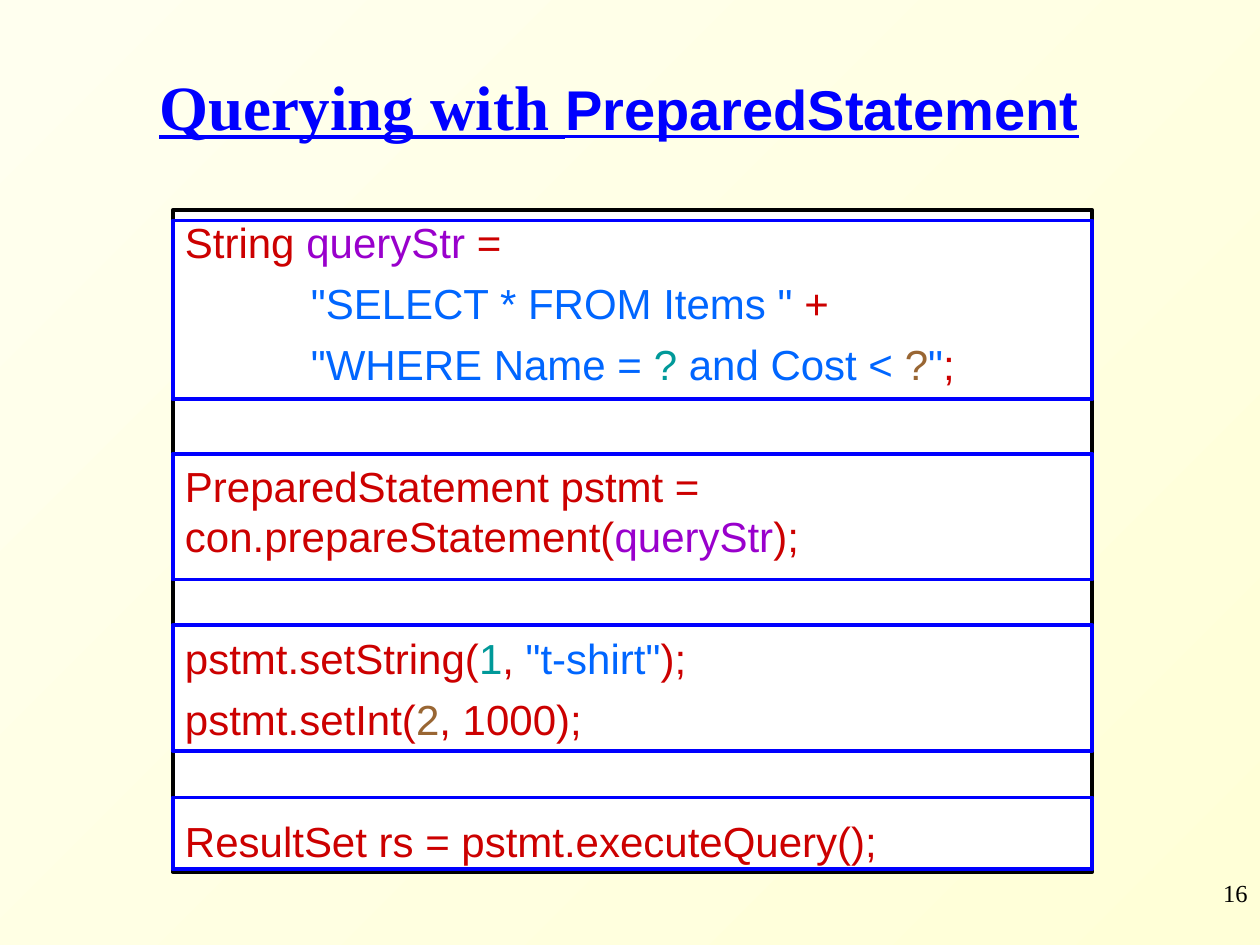
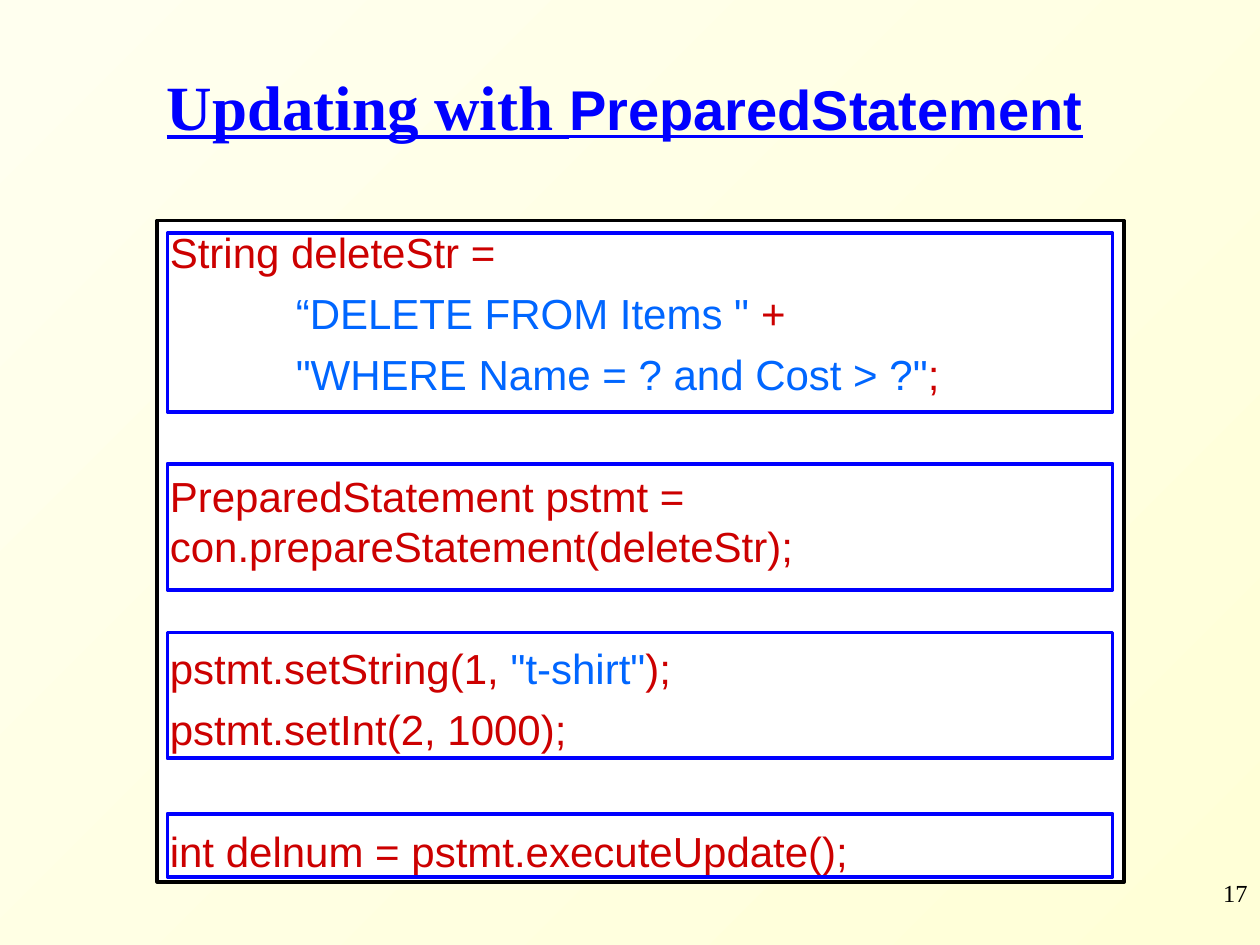
"""Build two slides that show code for prepared statements."""
import pptx
import pptx.dml.color
import pptx.enum.shapes
import pptx.enum.text
import pptx.util
from lxml import etree
from pptx.oxml.ns import qn

Inches = pptx.util.Inches
Pt = pptx.util.Pt
ALIGN = pptx.enum.text.PP_ALIGN
ANCHOR = pptx.enum.text.MSO_ANCHOR
HUES = {
    "deep": "FFFFD7", "pale": "FFFFEF", "white": "FFFFFF", "black": "000000",
    "title": "0000FF", "code": "CC0000", "text": "0066FF", "name": "9900CC",
    "first": "009999", "second": "996633",
}
SANS, SERIF = "Arial", "Times New Roman"
LINE, GAP = 28.8, 6

QUERY = [
    [
        [("String ", "code"), ("queryStr ", "name"), ("=", "code")],
        [("\t\"SELECT * FROM Items \" ", "text"), ("+", "code")],
        [("\t\"WHERE Name = ", "text"), ("? ", "first"),
         ("and Cost < ", "text"), ("?", "second"), ("\"", "text"),
         (";", "code")],
    ],
    [
        [("PreparedStatement pstmt = \tcon.prepareStatement(", "code"),
         ("queryStr", "name"), (");", "code")],
    ],
    [
        [("pstmt.setString(", "code"), ("1", "first"), (", ", "code"),
         ("\"t-shirt\"", "text"), (");", "code")],
        [("pstmt.setInt(", "code"), ("2", "second"), (", 1000);", "code")],
    ],
    [[("ResultSet rs = pstmt.executeQuery();", "code")]],
]
UPDATE = [
    [
        [("String deleteStr =", "code")],
        [("\t“DELETE FROM Items \" ", "text"), ("+", "code")],
        [("\t\"WHERE Name = ? and Cost > ?\"", "text"), (";", "code")],
    ],
    [
        [("PreparedStatement pstmt = \tcon.prepareStatement(deleteStr);",
          "code")],
    ],
    [
        [("pstmt.setString(1, ", "code"), ("\"t-shirt\"", "text"),
         (");", "code")],
        [("pstmt.setInt(2, 1000);", "code")],
    ],
    [[("int delnum = pstmt.executeUpdate();", "code")]],
]


def shade(hue):
    """Return the RGB colour of a named hue."""
    return pptx.dml.color.RGBColor.from_string(HUES[hue])


def add_run(para, text, hue, size, face):
    """Append a formatted run and return its font."""
    run = para.add_run()
    run.text = text
    font = run.font
    font.size, font.name = Pt(size), face
    font.color.rgb = shade(hue)
    return font


def add_tabs(para):
    """Give a paragraph a left tab stop at every inch."""
    stops = etree.SubElement(para._p.get_or_add_pPr(), qn("a:tabLst"))
    for inch in range(1, 8):
        etree.SubElement(stops, qn("a:tab"), pos=str(Inches(inch)), algn="l")


def add_text(slide, area, align):
    """Add a wrapping text box and return its frame and first paragraph."""
    frame = slide.shapes.add_textbox(*map(Inches, area)).text_frame
    frame.word_wrap = True
    para = frame.paragraphs[0]
    para.alignment = align
    return frame, para


def add_title(slide, verb, area):
    """Add the underlined title, whose class name is set in sans."""
    frame, para = add_text(slide, area, ALIGN.CENTER)
    frame.vertical_anchor = ANCHOR.MIDDLE
    para.line_spacing = 0.85
    for text, size, face in ((f"{verb} with ", 36, SERIF),
                             ("PreparedStatement", 32, SANS)):
        font = add_run(para, text, "title", size, face)
        font.bold = font.underline = True


def add_page(slide, page):
    """Add the page number at the lower right."""
    para = add_text(slide, (7.92, 6.92, 2.08, 0.5), ALIGN.RIGHT)[1]
    add_run(para, str(page), "black", 14, SERIF)


def add_rect(slide, area, edge, fill=None):
    """Add an outlined rectangle, hollow unless a fill is named."""
    rect = slide.shapes.add_shape(
        pptx.enum.shapes.MSO_SHAPE.RECTANGLE, *map(Inches, area))
    rect.shadow.inherit = False
    rect.line.color.rgb = shade(edge)
    rect.line.width = Pt(2.25)
    if fill:
        rect.fill.solid()
        rect.fill.fore_color.rgb = shade(fill)
    else:
        rect.fill.background()
    return rect


def add_code(slide, area, blocks):
    """Add the white panel with blocks of code, one line apart."""
    frame = add_rect(slide, area, "black", "white").text_frame
    frame.word_wrap = True
    frame.vertical_anchor = ANCHOR.TOP
    para = None
    for block in blocks:
        for row, parts in enumerate(block):
            if para is None:
                para, space = frame.paragraphs[0], 0
            else:
                para = frame.add_paragraph()
                space = GAP if row else LINE + 2 * GAP
            add_tabs(para)
            para.alignment = ALIGN.LEFT
            para.line_spacing = Pt(LINE)
            para.space_before = Pt(space)
            for text, hue in parts:
                add_run(para, text, hue, 24, SANS)


def add_frames(slide, left, width, spans):
    """Outline each block of code, given its top and height."""
    for top, height in spans:
        add_rect(slide, (left, top, width, height), "title")


def paint(master):
    """Fill the background with the slanted yellow blend."""
    fill = master.background.fill
    fill.gradient()
    fill.gradient_angle = 135
    for stop, hue, place in zip(fill.gradient_stops, ("deep", "pale"), (0, 1)):
        stop.color.rgb = shade(hue)
        stop.position = place


def add_slide(deck, page, verb, head, panel, blocks, left, width, spans):
    """Add one slide with title, code, frames and page number."""
    slide = deck.slides.add_slide(deck.slide_layouts[6])
    add_title(slide, verb, head)
    add_code(slide, panel, blocks)
    add_frames(slide, left, width, spans)
    add_page(slide, page)


def main():
    """Build and save the deck."""
    deck = pptx.Presentation()
    deck.slide_width, deck.slide_height = Inches(10), Inches(7.5)
    paint(deck.slide_master)
    add_slide(deck, 16, "Querying", (0.5, 0.42, 8.83, 0.92),
              (1.37, 1.67, 7.3, 5.25), QUERY, 1.37, 7.3,
              ((1.75, 1.42), (3.6, 1), (4.96, 1), (6.33, 0.57)))
    add_slide(deck, 17, "Updating", (1, 0.42, 7.92, 0.92),
              (1.25, 1.75, 7.67, 5.25), UPDATE, 1.33, 7.5,
              ((1.85, 1.42), (3.68, 1), (5.02, 1), (6.46, 0.5)))
    deck.save("out.pptx")


if __name__ == "__main__":
    main()
